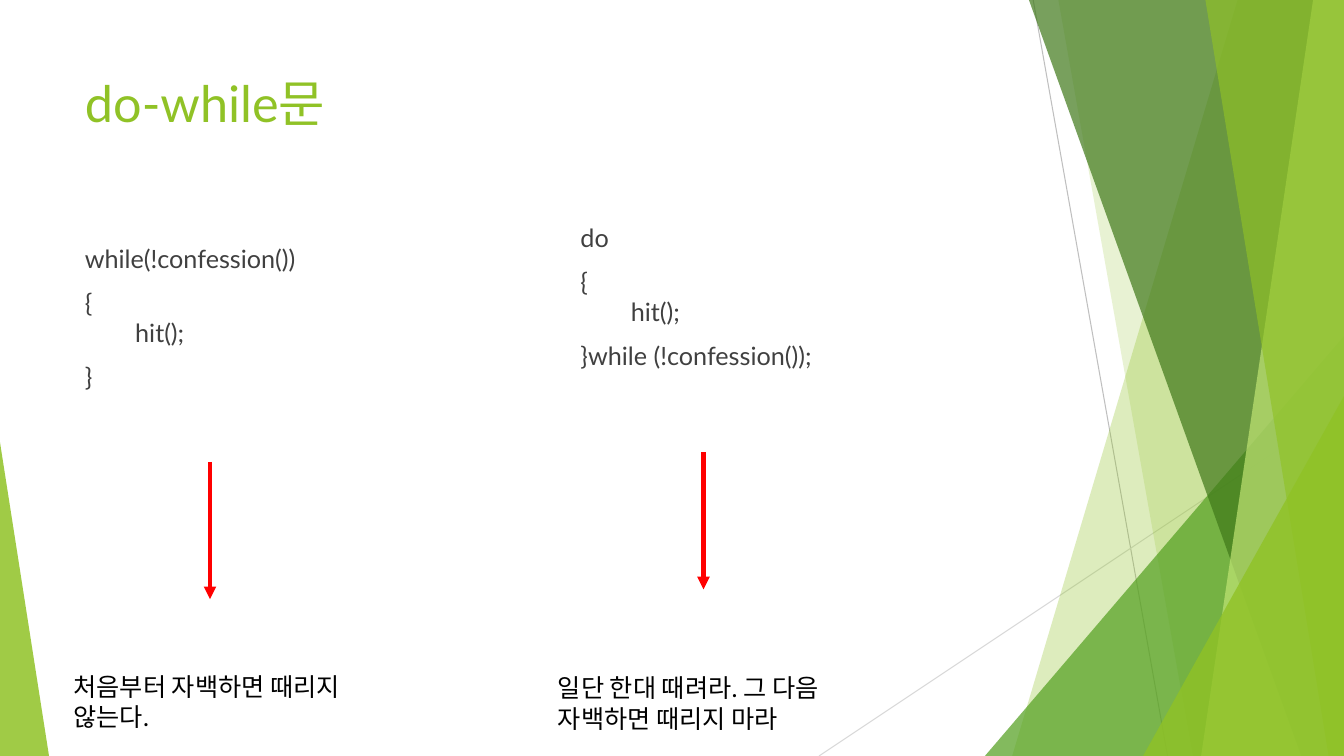
from dataclasses import dataclass

from lxml.etree import SubElement
from pptx import Presentation
from pptx.dml.color import RGBColor
from pptx.enum.shapes import MSO_CONNECTOR, MSO_SHAPE
from pptx.enum.text import MSO_ANCHOR, MSO_AUTO_SIZE, PP_ALIGN
from pptx.oxml.ns import qn
from pptx.util import Pt

WIDE, HIGH = 960, 540


@dataclass(frozen=True)
class Theme:
    font: str = "Lato"
    head: int = 36
    body: int = 18
    lime: str = "90C226"
    green: str = "54A021"
    dark: str = "3F7819"
    pale: str = "C0E474"
    gray: str = "404040"
    black: str = "000000"
    red: str = "FF0000"
    rule: str = "BFBFBF"
    faint: str = "D9D9D9"


THEME = Theme()


def rgb(code):
    return RGBColor.from_string(code)


# Backdrop parts
def paint(shape, color, alpha):
    shape.shadow.inherit = False
    shape.line.fill.background()
    shape.fill.solid()
    shape.fill.fore_color.rgb = rgb(color)
    tint = shape.fill._xPr.find(".//" + qn("a:srgbClr"))
    SubElement(tint, qn("a:alpha"), val=str(alpha * 1000))


def add_panel(slide, top, base, color, alpha):
    """Fill from a slanted left edge to the right side of the slide."""
    pen = slide.shapes.build_freeform(Pt(top), 0)
    pen.add_line_segments(
        [(Pt(WIDE), 0), (Pt(WIDE), Pt(HIGH)), (Pt(base), Pt(HIGH))])
    paint(pen.convert_to_shape(), color, alpha)


def add_wedge(slide, left, top, width, peak, color, alpha):
    """Stand a right triangle on the bottom edge, its peak at 0 or 1."""
    shape = slide.shapes.add_shape(
        MSO_SHAPE.ISOSCELES_TRIANGLE, Pt(left), Pt(top), Pt(width), Pt(HIGH - top))
    shape.adjustments[0] = peak
    paint(shape, color, alpha)


def add_line(slide, start, end, color, width, arrow=False):
    line = slide.shapes.add_connector(
        MSO_CONNECTOR.STRAIGHT, *[Pt(n) for n in (*start, *end)])
    line.line.color.rgb = rgb(color)
    line.line.width = Pt(width)
    if arrow:
        SubElement(line.line._get_or_add_ln(), qn("a:tailEnd"), type="triangle")
    SubElement(line._element.spPr, qn("a:effectLst"))


def add_backdrop(slide):
    add_line(slide, (738, 0), (834, HIGH), THEME.rule, 0.75)
    add_line(slide, (WIDE, 290), (585, HIGH), THEME.faint, 0.75)
    add_panel(slide, 884, 723, THEME.lime, 30)
    add_panel(slide, 756, 852, THEME.lime, 20)
    add_wedge(slide, 703.5, 240, 256.5, 1, THEME.green, 72)
    add_panel(slide, 735, 929.5, THEME.dark, 70)
    add_panel(slide, 938, 858, THEME.pale, 70)
    add_panel(slide, 861, 949, THEME.lime, 65)
    add_wedge(slide, 816.5, 283, 143.5, 1, THEME.lime, 80)
    add_wedge(slide, 0, 316, 35, 0, THEME.lime, 85)


# Text parts
def style(para, size, color):
    para.alignment = PP_ALIGN.LEFT
    para.font.name = THEME.font
    para.font.size = Pt(size)
    para.font.color.rgb = rgb(color)


def set_title(slide, text):
    title = slide.shapes.title
    title.left, title.top, title.width, title.height = map(Pt, (53.5, 48, 677, 104))
    frame = title.text_frame
    frame.auto_size = MSO_AUTO_SIZE.NONE
    frame.vertical_anchor = MSO_ANCHOR.TOP
    frame.text = text
    style(frame.paragraphs[0], THEME.head, THEME.lime)


def add_text(slide, left, top, width, height, lines, color, gap=0):
    box = slide.shapes.add_textbox(Pt(left), Pt(top), Pt(width), Pt(height))
    frame = box.text_frame
    frame.word_wrap = True
    for i, line in enumerate(lines):
        para = frame.add_paragraph() if i else frame.paragraphs[0]
        para.text = line
        para.space_before = Pt(gap)
        para._p.get_or_add_pPr().set("defTabSz", str(Pt(36)))
        style(para, THEME.body, color)


def add_code(slide, left, top, lines):
    add_text(slide, left, top, 250, 305, lines, THEME.gray, gap=10)


def add_note(slide, left, top, text):
    add_text(slide, left, top, 258, 51, [text], THEME.black)


def add_arrow(slide, x, top):
    add_line(slide, (x, top), (x, top + 98), THEME.red, 3, arrow=True)


def main():
    deck = Presentation()
    deck.slide_width, deck.slide_height = Pt(WIDE), Pt(HIGH)
    slide = deck.slides.add_slide(deck.slide_layouts[5])
    add_backdrop(slide)
    set_title(slide, "do-while문")

    # Test before the loop
    add_code(slide, 53.5, 170, ["while(!confession())", "{\v\thit();", "}"])
    add_arrow(slide, 150, 330)
    add_note(slide, 45.5, 476, "처음부터 자백하면 때리지 않는다.")

    # Test after the loop
    add_code(slide, 407.5, 155, ["do", "{\v\thit();", "}while (!confession());"])
    add_arrow(slide, 502.5, 323)
    add_note(slide, 391.5, 477, "일단 한대 때려라. 그 다음 자백하면 때리지 마라")

    deck.save("out.pptx")


if __name__ == "__main__":
    main()
